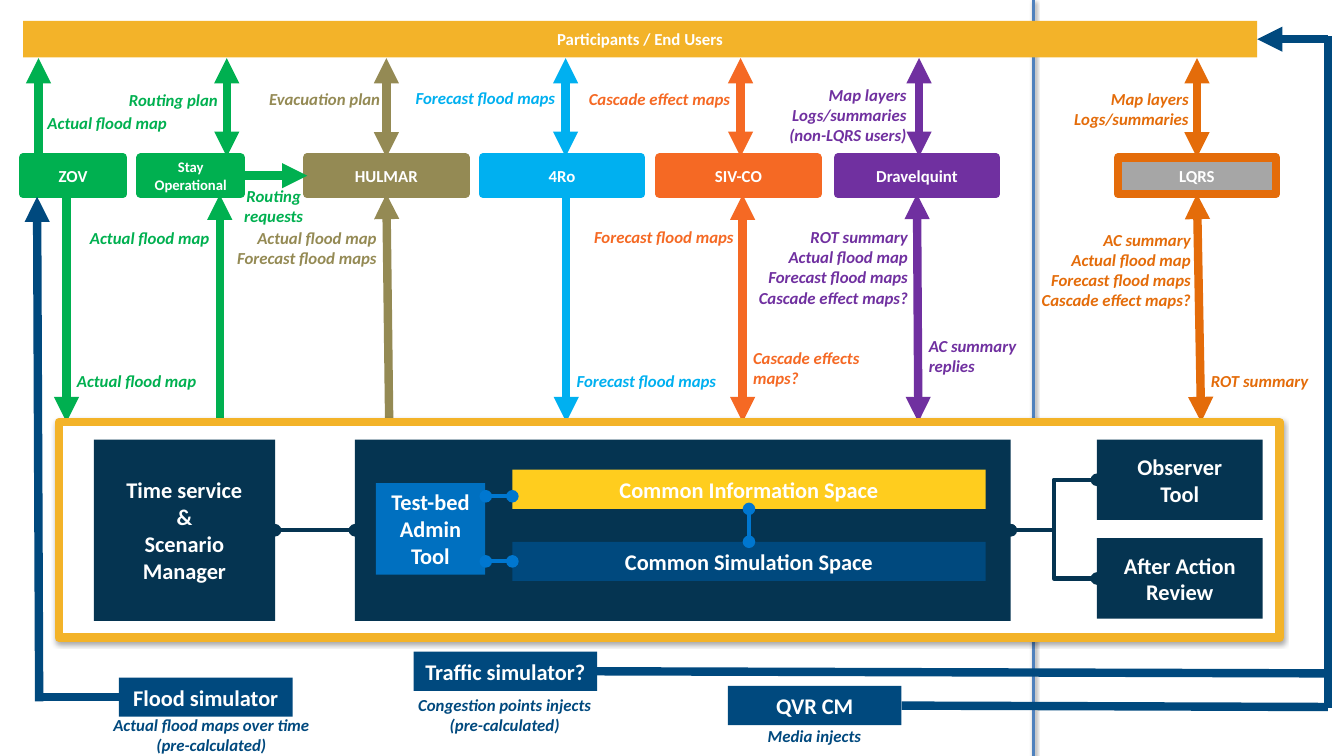
from pptx import Presentation
from pptx.dml.color import RGBColor
from pptx.enum.shapes import MSO_CONNECTOR, MSO_SHAPE
from pptx.enum.text import MSO_ANCHOR, PP_ALIGN
from pptx.oxml.ns import qn
from pptx.util import Pt
from lxml import etree

LEFT, CENTER, RIGHT = PP_ALIGN.LEFT, PP_ALIGN.CENTER, PP_ALIGN.RIGHT
TOP, MIDDLE = MSO_ANCHOR.TOP, MSO_ANCHOR.MIDDLE
STRAIGHT, ELBOW = MSO_CONNECTOR.STRAIGHT, MSO_CONNECTOR.ELBOW
RECT = MSO_SHAPE.RECTANGLE

WHITE = RGBColor(0xFF, 0xFF, 0xFF)
GREEN = RGBColor(0x00, 0xB0, 0x50)
SKY = RGBColor(0x00, 0xB0, 0xF0)
CORAL = RGBColor(0xF5, 0x69, 0x24)
OLIVE = RGBColor(0x94, 0x8A, 0x54)
PURPLE = RGBColor(0x70, 0x30, 0xA0)
ORANGE = RGBColor(0xE4, 0x6C, 0x0A)
GREY = RGBColor(0xA6, 0xA6, 0xA6)
AMBER = RGBColor(0xF3, 0xB3, 0x29)
YELLOW = RGBColor(0xFF, 0xCD, 0x1E)
DARK = RGBColor(0x05, 0x34, 0x51)
NAVY = RGBColor(0x00, 0x49, 0x7E)
BLUE = RGBColor(0x00, 0x70, 0xC0)
LINK = RGBColor(0x00, 0x77, 0xD0)
DIVIDER = RGBColor(0x4F, 0x81, 0xBD)

prs = Presentation()
prs.slide_width, prs.slide_height = Pt(960), Pt(540)
s = prs.slides.add_slide(prs.slide_layouts[6])
boxes = {}


def add_text(name, x, y, w, h, fill=None, line=None, size=16, color=WHITE,
             align=CENTER, inset=4):
    if fill is None:
        sp = s.shapes.add_textbox(Pt(x), Pt(y), Pt(w), Pt(h))
    else:
        sp = s.shapes.add_shape(RECT, Pt(x), Pt(y), Pt(w), Pt(h))
        sp.shadow.inherit = False
        sp.fill.solid()
        sp.fill.fore_color.rgb = fill
        if line is None:
            sp.line.fill.background()
        else:
            sp.line.color.rgb = line
            sp.line.width = Pt(6)
        boxes[name] = sp
    tf = sp.text_frame
    tf.word_wrap = True
    tf.vertical_anchor = TOP if fill is None else MIDDLE
    tf.margin_left = tf.margin_right = Pt(inset)
    tf.margin_top = tf.margin_bottom = Pt(5 if fill is None else 0)
    tf.text = name
    for p in tf.paragraphs:
        p.alignment = align
        for r in p.runs:
            r.font.name, r.font.size, r.font.bold = "Calibri", Pt(size), True
            r.font.italic = fill is None
            r.font.color.rgb = color
    return sp


def add_line(color, x1, y1, x2, y2, head=None, tail=None, start=None, end=None,
             width=6, kind=STRAIGHT, shadow=False):
    c = s.shapes.add_connector(kind, Pt(x1), Pt(y1), Pt(x2), Pt(y2))
    if start:
        c.begin_connect(boxes[start[0]], start[1])
    if end:
        c.end_connect(boxes[end[0]], end[1])
    c.line.color.rgb = color
    c.line.width = Pt(width)
    for tag, mark in (("a:headEnd", head), ("a:tailEnd", tail)):
        if mark:
            etree.SubElement(c.line._get_or_add_ln(), qn(tag), type=mark)
    if not shadow:
        etree.SubElement(c._element.spPr, qn("a:effectLst"))


add_line(DIVIDER, 738, 0, 738, 540, width=2, shadow=True)

USERS = "Participants / End Users"
add_text(USERS, 16.5, 15, 881.5, 26, AMBER, size=12)
KEEP = "Stay Operational"
for name, x, w, fill, line, size in (
        ("ZOV", 16.5, 71.5, GREEN, GREEN, 12),
        (KEEP, 100.5, 71.5, GREEN, GREEN, 10.5),
        ("HULMAR", 219.5, 113, OLIVE, OLIVE, 12),
        ("4Ro", 345, 113, SKY, SKY, 12),
        ("SIV-CO", 471, 113, CORAL, CORAL, 12),
        ("Dravelquint", 598.5, 113, PURPLE, PURPLE, 12),
        ("LQRS", 798.5, 113, GREY, ORANGE, 12)):
    add_text(name, x, 112.5, w, 26, fill, line, size, inset=0)

T = "triangle"
for color, x, head, start in (
        (GREEN, 27.5, None, None),
        (GREEN, 162, T, None),
        (OLIVE, 276, T, ("HULMAR", 0)),
        (SKY, 404, T, None),
        (CORAL, 529, T, None),
        (PURPLE, 656.5, T, None),
        (ORANGE, 855, T, ("LQRS", 0))):
    add_line(color, x, 112, x, 41.5, head, T, start)

for color, x1, x2, head, tail, start in (
        (GREEN, 47.5, 47.5, None, T, None),
        (GREEN, 157, 157, T, None, None),
        (OLIVE, 276, 278, T, None, ("HULMAR", 2)),
        (SKY, 404.5, 404.5, None, T, None),
        (CORAL, 530.5, 530.5, T, T, None),
        (PURPLE, 655, 656, T, T, ("Dravelquint", 2)),
        (ORANGE, 855, 858, T, T, ("LQRS", 2))):
    add_line(color, x1, 139, x2, 301.5, head, tail, start)
add_line(GREEN, 172, 125.5, 219.5, 125.5, tail=T, start=(KEEP, 3), end=("HULMAR", 1))

ACTUAL, FORECAST = "Actual flood map", "Forecast flood maps"
for text, x, y, w, h, align, color in (
        (ACTUAL, 24.5, 75.5, 110, 24.5, LEFT, GREEN),
        ("Routing plan", 55, 59, 110, 24.5, RIGHT, GREEN),
        ("Evacuation plan", 179.5, 58.5, 101.5, 24.5, RIGHT, OLIVE),
        (FORECAST, 285, 57.5, 121, 24.5, RIGHT, SKY),
        ("Cascade effect maps", 409, 58.5, 122, 24.5, RIGHT, CORAL),
        ("Map layers\nLogs/summaries\n(non-LQRS users)", 549, 55.5, 108, 53.5, RIGHT, PURPLE),
        ("Map layers\nLogs/summaries", 751.5, 58.5, 107, 39, RIGHT, ORANGE),
        ("Routing\nrequests", 142, 127.5, 107, 39, CENTER, GREEN),
        (ACTUAL, 54, 157.5, 105, 24.5, RIGHT, GREEN),
        (ACTUAL + "\n" + FORECAST, 157.5, 157.5, 121, 39, RIGHT, OLIVE),
        (FORECAST, 411, 157, 122.5, 24.5, RIGHT, CORAL),
        ("ROT summary\nActual flood map\nForecast flood maps\nCascade effect maps?",
         481, 157, 177, 67.5, RIGHT, PURPLE),
        ("AC summary\nActual flood map\nForecast flood maps\nCascade effect maps?",
         731, 159, 129, 67.5, RIGHT, ORANGE),
        (ACTUAL, 45.5, 260, 110, 24.5, LEFT, GREEN),
        (FORECAST, 402.5, 260, 122.5, 24.5, LEFT, SKY),
        ("Cascade effects maps?", 528.5, 243.5, 104.5, 39, LEFT, CORAL),
        ("AC summary\nreplies", 654, 235, 93, 39, LEFT, PURPLE),
        ("ROT summary", 855.5, 259.5, 99.5, 24.5, LEFT, ORANGE),
        ("Actual flood maps over time (pre-calculated)", 70, 505.5, 162, 39, CENTER, NAVY),
        ("Congestion points injects (pre-calculated)", 287.5, 491, 146, 39, CENTER, NAVY),
        ("Media injects", 520.5, 513.5, 122.5, 24.5, CENTER, NAVY)):
    add_text(text, x, y, w, h, size=12, color=color, align=align, inset=9.4)

frame = s.shapes.add_shape(RECT, Pt(42), Pt(301.5), Pt(872), Pt(154))
frame.fill.solid()
frame.fill.fore_color.rgb = WHITE
frame.line.color.rgb = AMBER
frame.line.width = Pt(6)

INFO, SIM = "Common Information Space", "Common Simulation Space"
TIMING, ADMIN = "Time service\n&\nScenario Manager", "Test-bed Admin Tool"
OBSERVER, REVIEW = "Observer\nTool", "After Action Review"
FLOOD, TRAFFIC, MEDIA = "Flood simulator", "Traffic simulator?", "QVR CM"
for name, x, y, w, h, fill, inset in (
        ("", 253.5, 314, 468.5, 129.5, DARK, 4),
        (SIM, 366, 387, 338, 28, NAVY, 7),
        (INFO, 366, 335.5, 338, 28, YELLOW, 7),
        (ADMIN, 268.5, 345, 78, 65.5, BLUE, 4),
        (TIMING, 67, 314, 129.5, 129.5, DARK, 9.4),
        (OBSERVER, 783.5, 314, 118.5, 57.5, DARK, 9.4),
        (REVIEW, 783.5, 384.5, 118.5, 57.5, DARK, 9.4),
        (FLOOD, 85, 484, 124, 28, NAVY, 4),
        (TRAFFIC, 295.5, 465.5, 131, 28, NAVY, 4),
        (MEDIA, 520, 490, 124, 28, NAVY, 4)):
    add_text(name, x, y, w, h, fill, inset=inset)

O = "oval"
add_line(DARK, 196.5, 379, 253.5, 379, O, O, (TIMING, 3), ("", 1), 3)
for name, y in ((OBSERVER, 343), (REVIEW, 413)):
    add_line(DARK, 783.5, y, 722, 379, O, O, (name, 1), ("", 3), 3, ELBOW)
for y in (354.5, 401):
    add_line(LINK, 347, y, 366, y, O, O, width=3)
add_line(LINK, 535, 387, 535, 363.5, O, O, (SIM, 0), (INFO, 2), 3)

add_line(NAVY, 28, 501, 26.5, 140.5, tail=T)
add_line(NAVY, 85, 498, 26.5, 498, start=(FLOOD, 1))
add_line(NAVY, 948.5, 28, 898, 28, tail=T, end=(USERS, 3))
add_line(NAVY, 948.5, 505.5, 948.5, 26)
add_line(NAVY, 426.5, 479.5, 948.5, 481, start=(TRAFFIC, 3))
add_line(NAVY, 644, 504, 948.5, 505, start=(MEDIA, 3))

prs.save("out.pptx")
